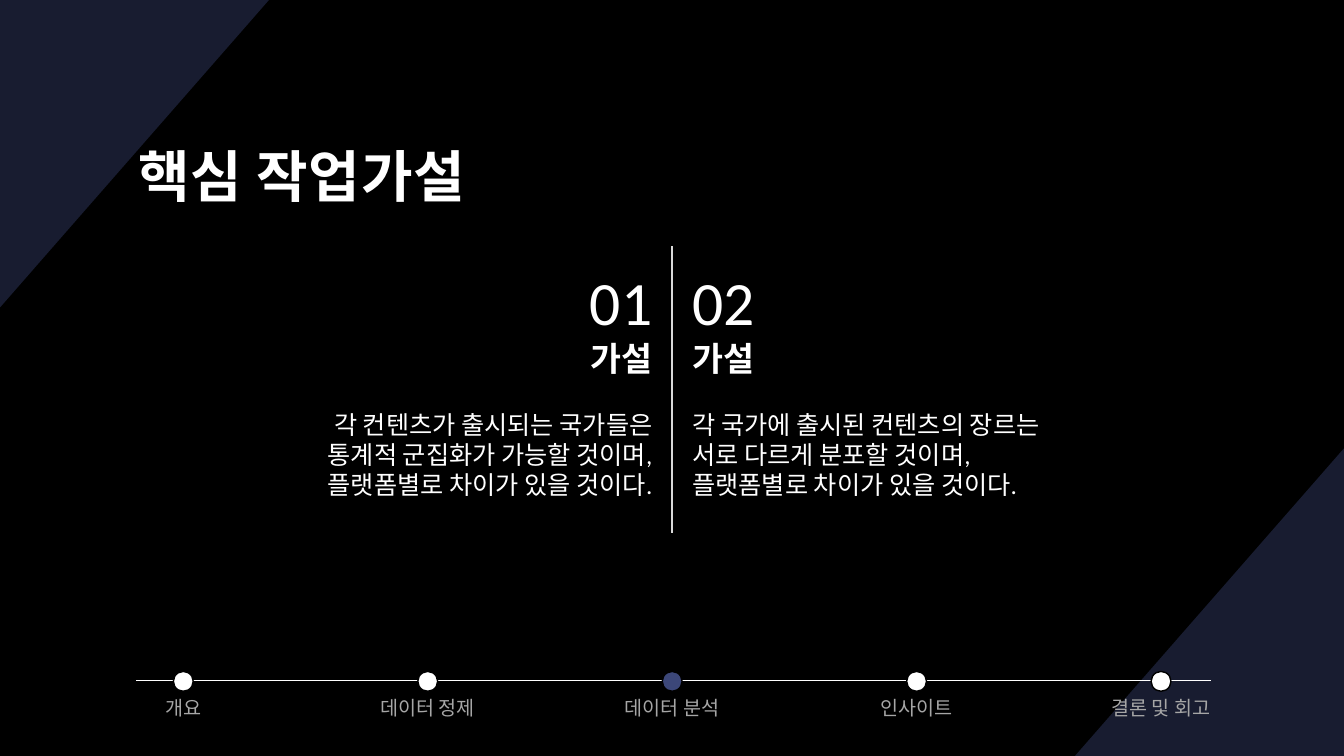
from dataclasses import dataclass

from lxml.etree import SubElement
from pptx import Presentation
from pptx.dml.color import RGBColor
from pptx.enum.shapes import MSO_CONNECTOR as Line, MSO_SHAPE as Shape
from pptx.enum.text import MSO_ANCHOR as Anchor, MSO_AUTO_SIZE as Fit, PP_ALIGN as Align
from pptx.oxml.ns import qn
from pptx.util import Cm, Pt

COLORS = {
    "black": "000000",
    "white": "FFFFFF",
    "navy": "181C30",
    "active": "3C4779",
    "label": "A6A6A6",
    "divider": "D9D9D9",
}
FONT = "Calibri"
WIDTH, HEIGHT = 33.87, 19.05
CORNER_W, CORNER_H = 6.78, 7.75
STEP_X, STEP_GAP, STEP_Y = 4.62, 6.16, 17.17
DOT, LABEL_W = 0.5, 3.84


@dataclass
class Hypothesis:
    number: str
    lines: list[str]
    left: float
    align: Align


@dataclass
class Step:
    label: str
    color: str = "white"


HYPOTHESES = [
    Hypothesis("01", ["각 컨텐츠가 출시되는 국가들은", "통계적 군집화가 가능할 것이며,",
                      "플랫폼별로 차이가 있을 것이다."], 4.62, Align.RIGHT),
    Hypothesis("02", ["각 국가에 출시된 컨텐츠의 장르는", "서로 다르게 분포할 것이며,",
                      "플랫폼별로 차이가 있을 것이다."], 17.2, Align.LEFT),
]
STEPS = [Step("개요"), Step("데이터 정제"), Step("데이터 분석", "active"),
         Step("인사이트"), Step("결론 및 회고")]


def rgb(name: str) -> RGBColor:
    return RGBColor.from_string(COLORS[name])


def write(p, text: str, *, size: float, color: str = "white", bold: bool = False,
          align: Align = Align.LEFT, after: float = 0, spacing: float = 1.0,
          tracking: int = 0) -> None:
    p.alignment = align
    p.space_before, p.space_after = Pt(0), Pt(after)
    p.line_spacing = spacing
    r = p.add_run()
    r.text = text
    r.font.name, r.font.size, r.font.bold = FONT, Pt(size), bold
    r.font.color.rgb = rgb(color)
    if tracking:
        r.font._element.set("spc", str(tracking))


def add_text_frame(s, left: float, top: float, width: float, height: float):
    tf = s.shapes.add_textbox(Cm(left), Cm(top), Cm(width), Cm(height)).text_frame
    tf.word_wrap = True
    tf.auto_size = Fit.SHAPE_TO_FIT_TEXT
    return tf


def add_line(s, x1: float, y1: float, x2: float, y2: float, color: str, width: float) -> None:
    line = s.shapes.add_connector(Line.STRAIGHT, Cm(x1), Cm(y1), Cm(x2), Cm(y2))
    line.line.color.rgb = rgb(color)
    line.line.width = Pt(width)
    SubElement(line._element.spPr, qn("a:effectLst"))


def add_corner(s, x: float, y: float, dx: float, dy: float) -> None:
    builder = s.shapes.build_freeform(Cm(x), Cm(y + dy))
    builder.add_line_segments([(Cm(x), Cm(y)), (Cm(x + dx), Cm(y))])
    sp = builder.convert_to_shape()
    sp.shadow.inherit = False
    sp.fill.solid()
    sp.fill.fore_color.rgb = rgb("navy")
    sp.line.fill.background()


def set_title(s, text: str) -> None:
    sp = s.shapes.title
    sp.left, sp.top, sp.width, sp.height = Cm(3.18), Cm(2.41), Cm(27.51), Cm(3.78)
    tf = sp.text_frame
    tf.word_wrap = True
    tf.auto_size = Fit.NONE
    tf.vertical_anchor = Anchor.MIDDLE
    tf.margin_left = tf.margin_right = tf.margin_top = Cm(0.3)
    tf.margin_bottom = Cm(0.25)
    write(tf.paragraphs[0], text, size=40, bold=True, spacing=1.1, tracking=70)


def add_hypothesis(s, item: Hypothesis) -> None:
    tf = add_text_frame(s, item.left, 6.53, 12.07, 6.25)
    write(tf.paragraphs[0], item.number, size=44, align=item.align)
    write(tf.add_paragraph(), "가설", size=24, bold=True, align=item.align, after=22)
    for line in item.lines:
        write(tf.add_paragraph(), line, size=18, align=item.align)


def add_step(s, step: Step, x: float) -> None:
    sp = s.shapes.add_shape(Shape.OVAL, Cm(x - DOT / 2), Cm(STEP_Y - DOT / 2), Cm(DOT), Cm(DOT))
    sp.shadow.inherit = False
    sp.fill.solid()
    sp.fill.fore_color.rgb = rgb(step.color)
    sp.line.color.rgb = rgb("black")
    sp.line.width = Pt(1)
    tf = add_text_frame(s, x - LABEL_W / 2, 17.4, LABEL_W, 0.86)
    write(tf.paragraphs[0], step.label, size=14, color="label", align=Align.CENTER)


def main() -> None:
    prs = Presentation()
    prs.slide_width, prs.slide_height = Cm(WIDTH), Cm(HEIGHT)
    s = prs.slides.add_slide(prs.slide_layouts[5])
    s.background.fill.solid()
    s.background.fill.fore_color.rgb = rgb("black")

    add_corner(s, WIDTH, HEIGHT, -CORNER_W, -CORNER_H)
    add_corner(s, 0, 0, CORNER_W, CORNER_H)
    set_title(s, "핵심 작업가설")

    add_line(s, 3.43, 17.15, 30.53, 17.15, "white", 1)
    for i, step in enumerate(STEPS):
        add_step(s, step, STEP_X + i * STEP_GAP)

    for item in HYPOTHESES:
        add_hypothesis(s, item)
    add_line(s, WIDTH / 2, 6.2, WIDTH / 2, 13.44, "divider", 1.5)

    prs.save("out.pptx")


if __name__ == "__main__":
    main()
